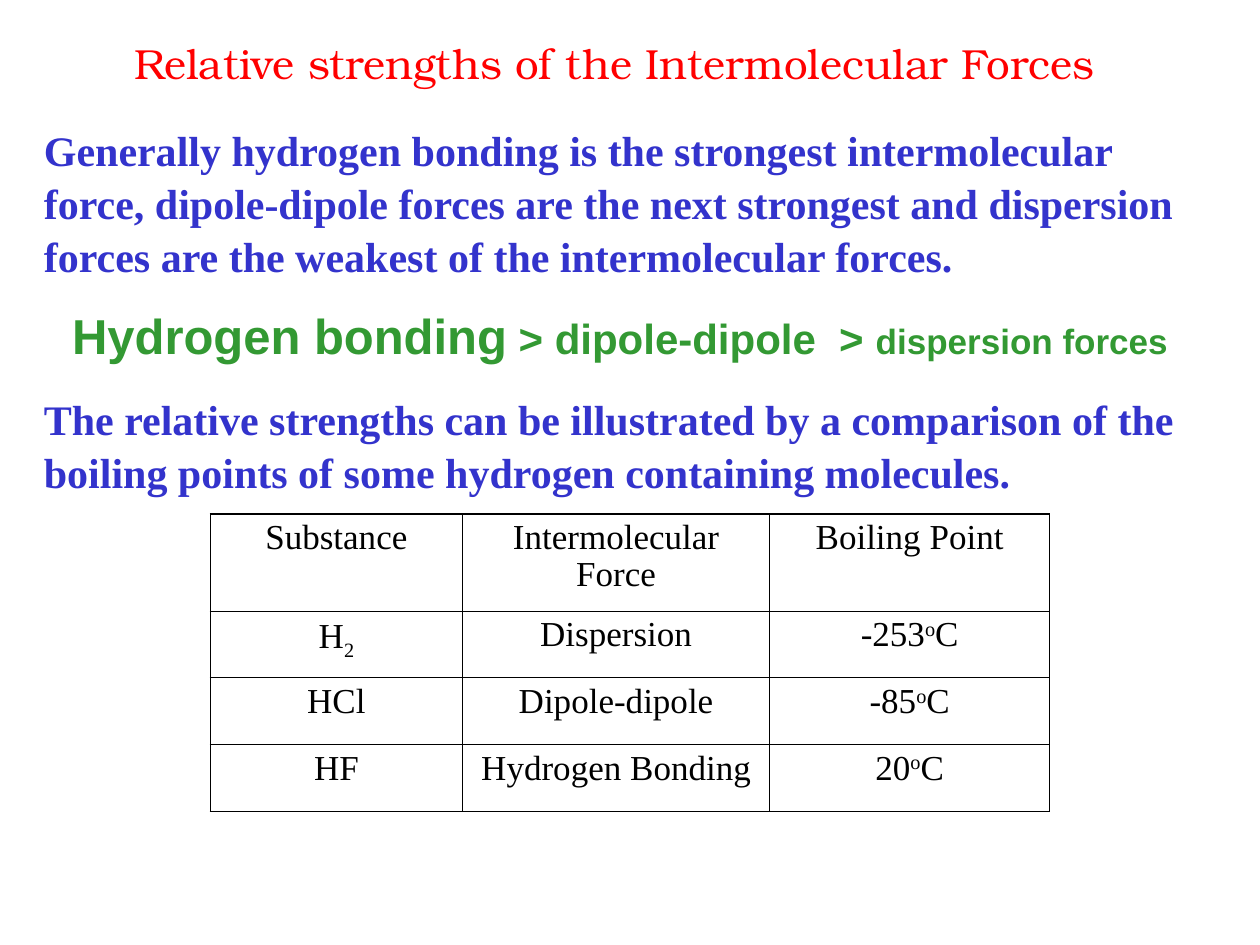
from lxml import etree
from pptx import Presentation
from pptx.dml.color import RGBColor
from pptx.enum.text import MSO_ANCHOR, PP_ALIGN
from pptx.oxml.ns import qn
from pptx.util import Inches, Pt

CENTER, LEFT = PP_ALIGN.CENTER, PP_ALIGN.LEFT
TOP = MSO_ANCHOR.TOP

COLORS = {"title": "FF0000", "body": "3333CC", "ranking": "339933", "table": "000000"}
SERIF, SANS, TITLE_FONT = "Times New Roman", "Arial", "TeX Gyre Bonum"
SUBSCRIPT, SUPERSCRIPT = -25000, 30000
OUTER_LINE, INNER_LINE = 1.08, 0.45

COLUMN_WIDTHS = [2, 2.44, 2.22]
ROW_HEIGHTS = [0.77, 0.53, 0.53, 0.53]
DEGREES = [("o", SUPERSCRIPT), ("C", 0)]
ROWS = [
    [[("Substance", 0)], [("Intermolecular Force", 0)], [("Boiling Point", 0)]],
    [[("H", 0), ("2", SUBSCRIPT)], [("Dispersion", 0)], [("-253", 0)] + DEGREES],
    [[("HCl", 0)], [("Dipole-dipole", 0)], [("-85", 0)] + DEGREES],
    [[("HF", 0)], [("Hydrogen Bonding", 0)], [("20", 0)] + DEGREES],
]


def add_span(para, text, size, font, color, bold=False):
    span = para.add_run()
    span.text = text
    span.font.size = Pt(size)
    span.font.name = font
    span.font.bold = bold
    span.font.color.rgb = RGBColor.from_string(COLORS[color])
    return span


def add_text_box(page, left, top, width, height):
    box = page.shapes.add_textbox(Inches(left), Inches(top), Inches(width), Inches(height))
    box.text_frame.word_wrap = True
    return box.text_frame


def add_title(page):
    para = add_text_box(page, 0, 0.25, 9.75, 0.5).paragraphs[0]
    para.alignment = CENTER
    add_span(para, "Relative strengths of the Intermolecular Forces", 24, TITLE_FONT, "title")


def add_body(page):
    frame = add_text_box(page, 0.25, 0.92, 9.42, 2.95)
    paragraphs = [
        (LEFT, 0, SERIF, "body", [
            ("Generally hydrogen bonding is the strongest intermolecular force, "
             "dipole-dipole forces are the next strongest and dispersion forces "
             "are the weakest of the intermolecular forces.", 24)]),
        (CENTER, 12.5, SANS, "ranking", [
            ("Hydrogen bonding", 28), (" > dipole-dipole  > ", 24), ("dispersion forces ", 20)]),
        (LEFT, 15, SERIF, "body", [
            ("The relative strengths can be illustrated by a comparison of the "
             "boiling points of some hydrogen containing molecules.", 24)]),
    ]
    for index, (alignment, space, font, color, spans) in enumerate(paragraphs):
        para = frame.add_paragraph() if index else frame.paragraphs[0]
        para.alignment = alignment
        para.line_spacing = 1.05
        para.space_before = Pt(space)
        for text, size in spans:
            add_span(para, text, size, font, color, bold=True)


def set_borders(cell, widths):
    properties = cell._tc.get_or_add_tcPr()
    for side, width in widths.items():
        line = etree.SubElement(properties, qn(f"a:ln{side}"), w=str(int(Pt(width))))
        fill = etree.SubElement(line, qn("a:solidFill"))
        etree.SubElement(fill, qn("a:srgbClr"), val=COLORS["table"])


def fill_cell(cell, spans):
    cell.vertical_anchor = TOP
    para = cell.text_frame.paragraphs[0]
    para.alignment = CENTER
    para.line_spacing = 0.95
    for text, baseline in spans:
        span = add_span(para, text, 20, SERIF, "table")
        if baseline:
            span._r.get_or_add_rPr().set("baseline", str(baseline))


def add_boiling_table(page):
    row_count, column_count = len(ROWS), len(COLUMN_WIDTHS)
    table = page.shapes.add_table(
        row_count, column_count, Inches(1.67), Inches(4.08),
        Inches(sum(COLUMN_WIDTHS)), Inches(sum(ROW_HEIGHTS))).table
    table.first_row = False
    table.horz_banding = False
    for column, width in zip(table.columns, COLUMN_WIDTHS):
        column.width = Inches(width)
    for row, height in zip(table.rows, ROW_HEIGHTS):
        row.height = Inches(height)
    for i, row in enumerate(ROWS):
        for j, spans in enumerate(row):
            cell = table.cell(i, j)
            fill_cell(cell, spans)
            edges = {"L": j == 0, "R": j == column_count - 1,
                     "T": i == 0, "B": i == row_count - 1}
            set_borders(cell, {side: OUTER_LINE if outer else INNER_LINE
                               for side, outer in edges.items()})
            cell.fill.background()


def main():
    deck = Presentation()
    deck.slide_width, deck.slide_height = Inches(10), Inches(7.5)
    page = deck.slides.add_slide(deck.slide_layouts[6])
    add_body(page)
    add_title(page)
    add_boiling_table(page)
    deck.save("out.pptx")


if __name__ == "__main__":
    main()
